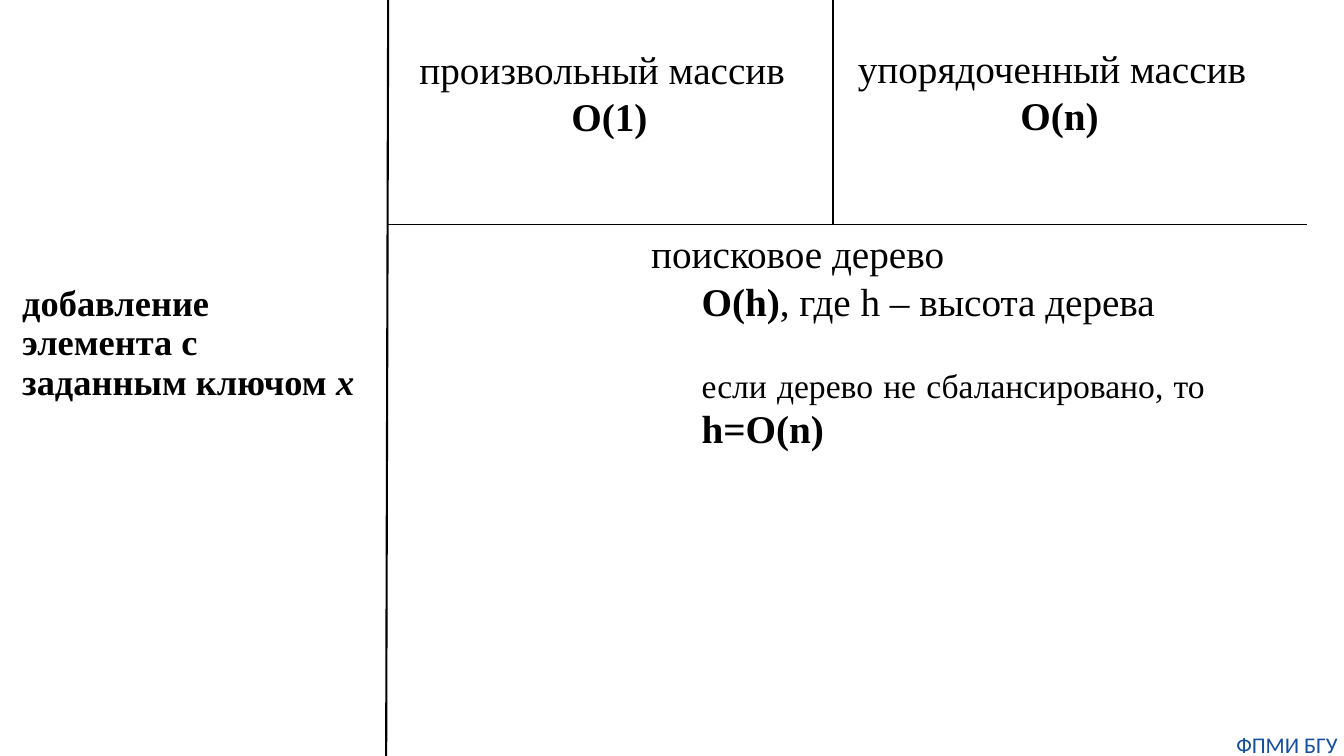
from dataclasses import dataclass

from lxml.etree import SubElement
from pptx import Presentation
from pptx.dml.color import RGBColor
from pptx.enum.shapes import MSO_CONNECTOR
from pptx.enum.text import MSO_AUTO_SIZE, PP_ALIGN
from pptx.oxml.ns import qn
from pptx.util import Inches, Pt

BLACK = RGBColor(0x00, 0x00, 0x00)
BLUE = RGBColor(0x14, 0x4E, 0x9D)
SERIF = "Times New Roman"


@dataclass
class Run:
    text: str
    bold: bool = False
    italic: bool = False
    size: float | None = None


@dataclass
class Para:
    runs: list[Run]
    size: float | None = 28
    align: PP_ALIGN = PP_ALIGN.LEFT
    indent: float = 0
    before: float = 0
    spacing: float = 1.0
    font: str = SERIF
    color: RGBColor = BLACK


@dataclass
class Block:
    left: float
    top: float
    width: float
    height: float
    paras: list[Para]
    placeholder: int | None = None
    margin: tuple[float, float] = (0.1, 0.05)


@dataclass
class Rule:
    x1: float
    y1: float
    x2: float
    y2: float
    weight: float


DIVIDER_X, DIVIDER_Y, COLUMN_X = 3.85, 2.23, 8.26

BLOCKS = [
    Block(0.12, 2.78, 3.62, 1.61, [
        Para([Run("добавление элемента с заданным ключом ", bold=True),
              Run("х", bold=True, italic=True)], size=26, spacing=0.9),
    ], placeholder=1),
    Block(4.06, 0.53, 3.97, 1.53, [
        Para([Run("произвольный массив")], spacing=0.7),
        Para([Run("O(1)", bold=True)], align=PP_ALIGN.CENTER, before=10, spacing=0.7),
    ], placeholder=2),
    Block(8.41, 0.39, 4.2, 1.04, [
        Para([Run("упорядоченный массив")]),
        Para([Run("O(n)", bold=True)], align=PP_ALIGN.CENTER),
    ]),
    Block(6.36, DIVIDER_Y, 5.69, 2.39, [
        Para([Run("поисковое дерево")]),
        Para([Run("O(h)", bold=True), Run(", где h – высота дерева")], indent=0.5),
        Para([Run("если дерево не сбалансировано, то ", size=24),
              Run("h=O(n)", bold=True, size=28)],
             size=None, align=PP_ALIGN.JUSTIFY, indent=0.5, before=29),
    ]),
    Block(12.2, 7.25, 1.13, 0.27, [
        Para([Run("ФПМИ БГУ")], size=16, align=PP_ALIGN.CENTER, font="Calibri", color=BLUE),
    ], margin=(0, 0)),
]

RULES = [
    Rule(DIVIDER_X, 0, 3.83, 7.52, 1.5),
    Rule(DIVIDER_X, DIVIDER_Y, 12.96, DIVIDER_Y, 0.5),
    Rule(COLUMN_X, 0, COLUMN_X, DIVIDER_Y, 1.5),
]


def fill_paragraph(p, para: Para) -> None:
    p.alignment = para.align
    p.line_spacing = para.spacing
    p.space_before = Pt(para.before)
    p.space_after = Pt(0)
    p_pr = p._p.get_or_add_pPr()
    p_pr.set("marL", str(Inches(para.indent)))
    p_pr.set("indent", "0")
    SubElement(p_pr, qn("a:buNone"))
    p.font.name = para.font
    p.font.color.rgb = para.color
    if para.size:
        p.font.size = Pt(para.size)
    for run in para.runs:
        r = p.add_run()
        r.text = run.text
        r.font.bold = run.bold
        r.font.italic = run.italic
        if run.size:
            r.font.size = Pt(run.size)


def add_block(s, block: Block) -> None:
    box = [Inches(v) for v in (block.left, block.top, block.width, block.height)]
    if block.placeholder is None:
        sp = s.shapes.add_textbox(*box)
    else:
        sp = s.placeholders[block.placeholder]
        sp.left, sp.top, sp.width, sp.height = box
    tf = sp.text_frame
    tf.word_wrap = True
    tf.auto_size = MSO_AUTO_SIZE.NONE
    tf.margin_left = tf.margin_right = Inches(block.margin[0])
    tf.margin_top = tf.margin_bottom = Inches(block.margin[1])
    for i, para in enumerate(block.paras):
        fill_paragraph(tf.add_paragraph() if i else tf.paragraphs[0], para)


def add_rule(s, rule: Rule) -> None:
    ends = [Inches(v) for v in (rule.x1, rule.y1, rule.x2, rule.y2)]
    line = s.shapes.add_connector(MSO_CONNECTOR.STRAIGHT, *ends)
    line.line.color.rgb = BLACK
    line.line.width = Pt(rule.weight)
    SubElement(line._element.spPr, qn("a:effectLst"))


def main() -> None:
    prs = Presentation()
    prs.slide_width, prs.slide_height = Inches(13.33), Inches(7.5)
    s = prs.slides.add_slide(prs.slide_layouts[3])
    title = s.shapes.title._element
    title.getparent().remove(title)
    for block in BLOCKS:
        add_block(s, block)
    for rule in RULES:
        add_rule(s, rule)
    prs.save("out.pptx")


if __name__ == "__main__":
    main()
